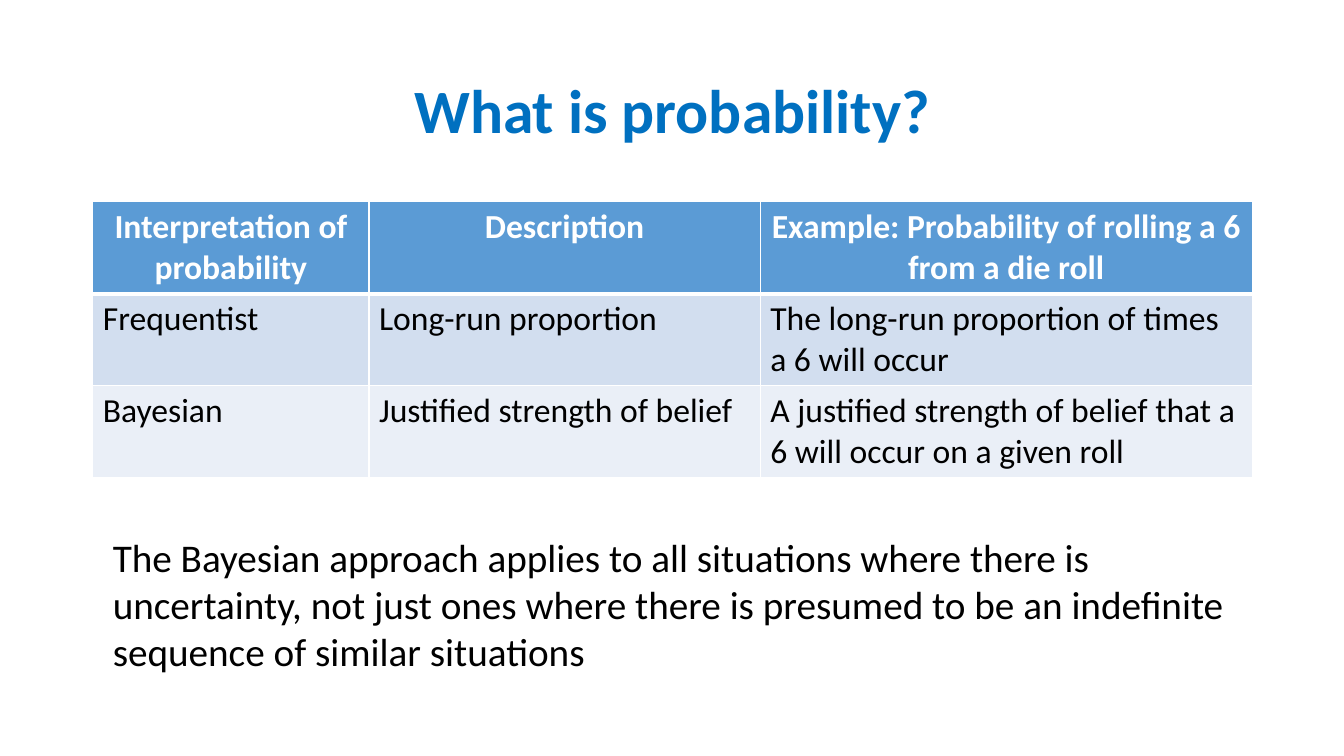
from pptx import Presentation
from pptx.dml.color import RGBColor as RGB
from pptx.enum.text import MSO_ANCHOR as Anchor, PP_ALIGN as Align
from pptx.oxml import parse_xml
from pptx.oxml.ns import nsdecls
from pptx.util import Pt

PX = 9144  # 100 px to the inch
WHITE, BLACK, BLUE = "FFFFFF", "000000", "0070C0"


def write(frame, text, size, color, bold=False, align=Align.LEFT):
    para = frame.paragraphs[0]
    para.alignment = align
    run = para.add_run()
    run.text = text
    font = run.font
    font.name, font.size, font.bold = "Calibri", Pt(size), bold
    font.color.rgb = RGB.from_string(color)
    return para


def edge(cell, side, width):
    """Add a white border to one side (L, R, T or B) of a cell."""
    cell._tc.get_or_add_tcPr().append(parse_xml(
        f'<a:ln{side} {nsdecls("a")} w="{Pt(width)}"><a:solidFill>'
        f'<a:srgbClr val="{WHITE}"/></a:solidFill></a:ln{side}>'))


deck = Presentation()
deck.slide_width, deck.slide_height = 1333 * PX, 750 * PX
slide = deck.slides.add_slide(deck.slide_layouts[5])

# Title
title = slide.shapes.title
title.left, title.top = 92 * PX, 40 * PX
title.width, title.height = 1150 * PX, 145 * PX
title.text_frame.vertical_anchor = Anchor.MIDDLE
para = write(title.text_frame, "What is probability?", 44, BLUE, True, Align.CENTER)
para.line_spacing = 0.9

# Table of interpretations
rows = [
    ("Interpretation of probability", "Description",
     "Example: Probability of rolling a 6 from a die roll"),
    ("Frequentist", "Long-run proportion",
     "The long-run proportion of times a 6 will occur"),
    ("Bayesian", "Justified strength of belief",
     "A justified strength of belief that a 6 will occur on a given roll"),
]
fills = ["5B9BD5", "D2DEEF", "EAEFF7"]
widths = [274, 388, 488]
table = slide.shapes.add_table(
    len(rows), len(widths), 92 * PX, 200 * PX, sum(widths) * PX, 270 * PX).table
for col, width in zip(table.columns, widths):
    col.width = width * PX
for r, (texts, fill) in enumerate(zip(rows, fills)):
    head = r == 0
    for c, text in enumerate(texts):
        cell = table.cell(r, c)
        for side in "LRTB":
            thick = (head and side == "B") or (r == 1 and side == "T")
            edge(cell, side, 3 if thick else 1)
        cell.fill.solid()
        cell.fill.fore_color.rgb = RGB.from_string(fill)
        write(cell.text_frame, text, 24, WHITE if head else BLACK, head,
              Align.CENTER if head else Align.LEFT)

# Closing remark
note = slide.shapes.add_textbox(102 * PX, 524 * PX, 1122 * PX, 151 * PX)
note.text_frame.word_wrap = True
write(note.text_frame,
      "The Bayesian approach applies to all situations where there is uncertainty, "
      "not just ones where there is presumed to be an indefinite sequence of "
      "similar situations", 28, BLACK)

deck.save("out.pptx")
